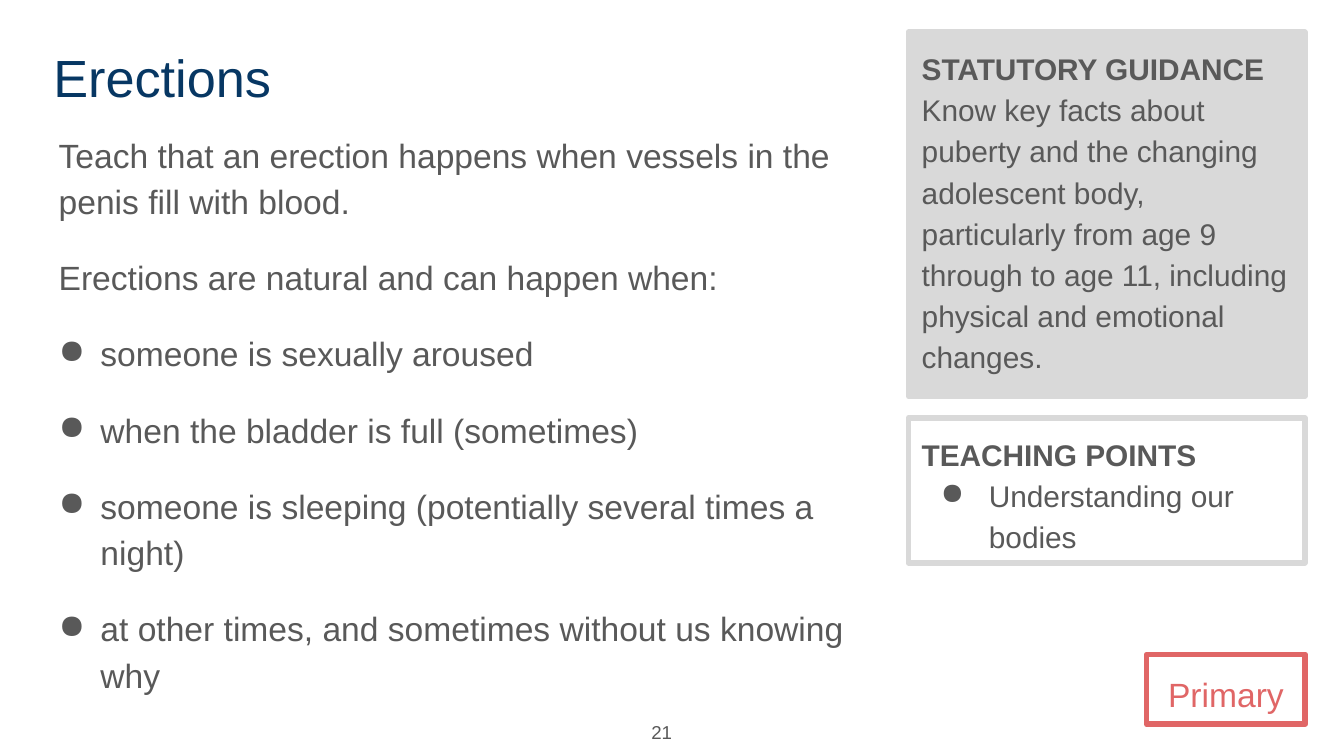
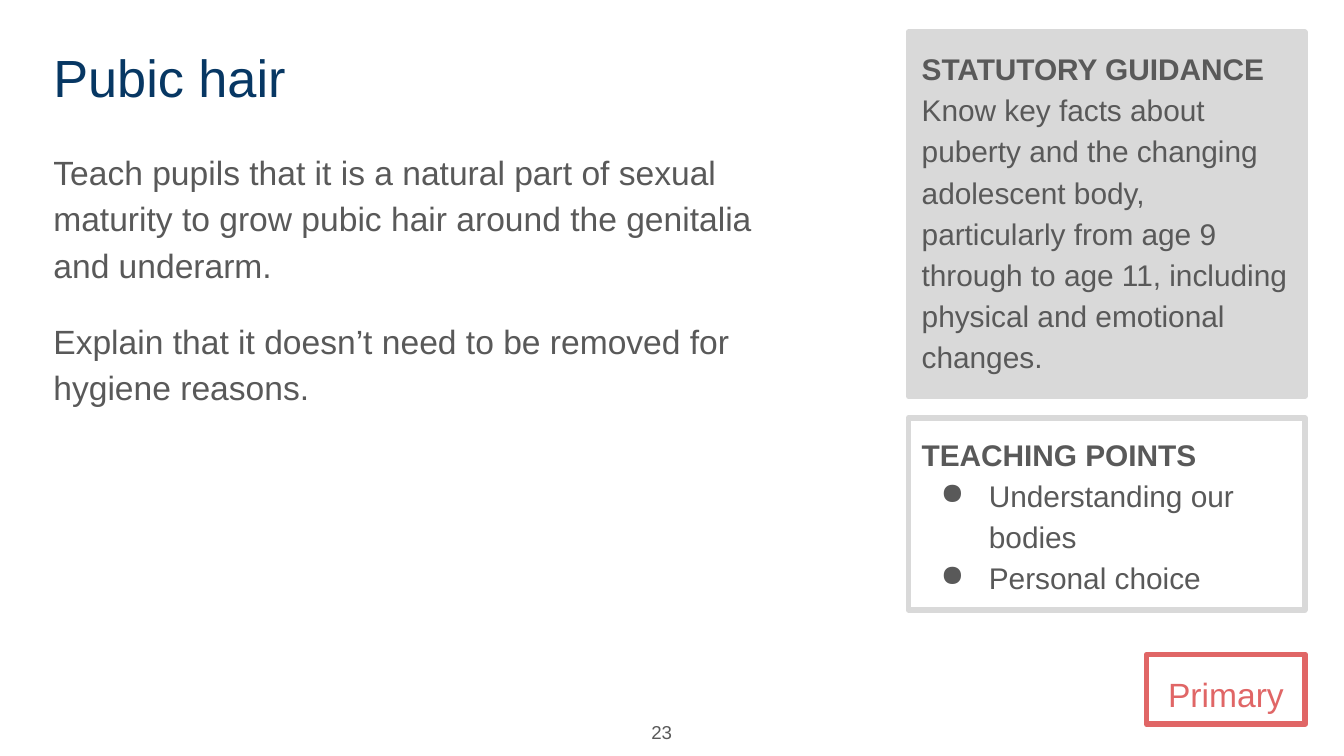
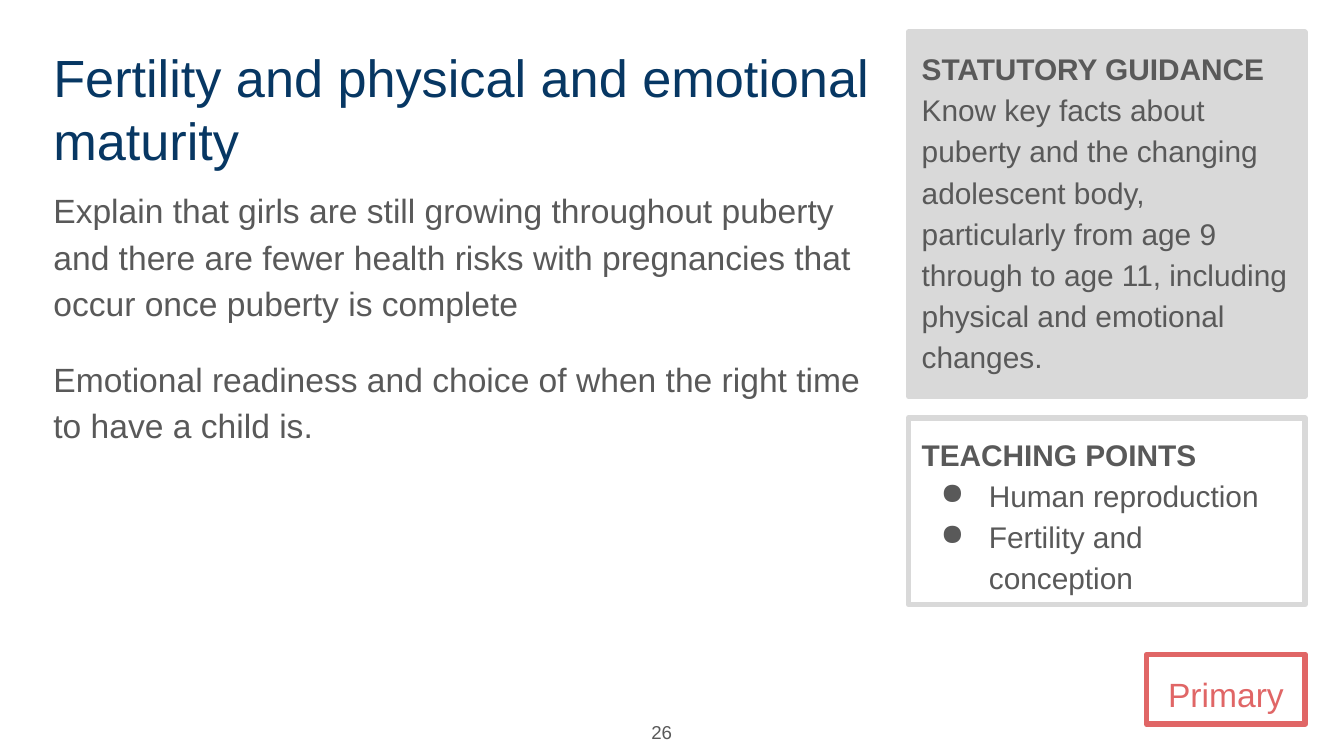
import lxml.etree
import pptx
import pptx.dml.color
import pptx.enum.shapes
import pptx.enum.text
import pptx.oxml.ns
import pptx.util

Cm = pptx.util.Cm
Pt = pptx.util.Pt
RGBColor = pptx.dml.color.RGBColor
ALIGN = pptx.enum.text.PP_ALIGN
ANCHOR = pptx.enum.text.MSO_ANCHOR
qn = pptx.oxml.ns.qn

# Shared colours and formats
NAVY = RGBColor(0x07, 0x37, 0x63)
TEXT_GREY = RGBColor(0x59, 0x59, 0x59)
PANEL_GREY = RGBColor(0xD9, 0xD9, 0xD9)
CORAL = RGBColor(0xE0, 0x66, 0x66)

TITLE = {"size": Pt(28), "color": NAVY}
BODY = {"size": Pt(18), "color": TEXT_GREY}
PANEL = {"size": Pt(16), "color": TEXT_GREY, "bold": False}
PANEL_HEADING = {**PANEL, "bold": True}
STAGE = {"size": Pt(18), "color": CORAL}
NUMBER = {"size": Pt(10), "color": TEXT_GREY}

INSET = Cm(0.25)
LINE_SPACING = 1.15
BODY_GAP = Pt(16)
BODY_INDENT = Cm(0.79), Cm(0.79)
PANEL_INDENT = Cm(1.27), Cm(0.91)

# Side column
MARGIN_TOP = 0.61
PANEL_LEFT, PANEL_WIDTH = 17.17, 7.49

GUIDANCE = (
    "Know key facts about puberty and the changing adolescent body, "
    "particularly from age 9 through to age 11, including physical and "
    "emotional changes."
)

# Content: body and panel boxes are in centimetres
SLIDES = [
    {
        "title": "Erections",
        "title_height": 1.6,
        "body_box": (0.86, 2.18, 16.05, 9.12),
        "body": [
            "Teach that an erection happens when vessels in the penis fill with blood.",
            "Erections are natural and can happen when:",
        ],
        "bullets": [
            "someone is sexually aroused",
            "when the bladder is full (sometimes)",
            "someone is sleeping (potentially several times a night)",
            "at other times, and sometimes without us knowing why",
        ],
        "points": ["Understanding our bodies"],
        "points_height": 2.74,
        "number": "21",
    },
    {
        "title": "Pubic hair",
        "title_height": 1.6,
        "body_box": (0.76, 2.51, 14.33, 10.46),
        "body": [
            "Teach pupils that it is a natural part of sexual maturity to grow "
            "pubic hair around the genitalia and underarm.",
            "Explain that it doesn’t need to be removed for hygiene reasons.",
        ],
        "bullets": [],
        "points": ["Understanding our bodies", "Personal choice"],
        "points_height": 3.63,
        "number": "23",
    },
    {
        "title": "Fertility and physical and emotional maturity",
        "title_height": 2.95,
        "body_box": (0.76, 3.23, 16.28, 9.14),
        "body": [
            "Explain that girls are still growing throughout puberty and there are "
            "fewer health risks with pregnancies that occur once puberty is complete",
            "Emotional readiness and choice of when the right time to have a child is.",
        ],
        "bullets": [],
        "points": ["Human reproduction", "Fertility and conception"],
        "points_height": 3.53,
        "number": "26",
    },
]


def apply_format(target, values):
    for name, value in values.items():
        setattr(target, name, value)


def prepare_frame(shape, anchor=ANCHOR.TOP):
    frame = shape.text_frame
    apply_format(frame, {
        "word_wrap": True,
        "vertical_anchor": anchor,
        "margin_left": INSET,
        "margin_right": INSET,
        "margin_top": INSET,
        "margin_bottom": INSET,
    })
    return frame


def add_text_box(slide, box, anchor=ANCHOR.TOP):
    shape = slide.shapes.add_textbox(*map(Cm, box))
    return prepare_frame(shape, anchor)


def add_frame(slide, box, line_color, fill_color=None):
    """Rectangle with a thick, round-cornered outline."""
    shape = slide.shapes.add_shape(
        pptx.enum.shapes.MSO_SHAPE.RECTANGLE, *map(Cm, box))
    shape.shadow.inherit = False
    if fill_color is None:
        shape.fill.background()
    else:
        shape.fill.solid()
        shape.fill.fore_color.rgb = fill_color
    shape.line.color.rgb = line_color
    shape.line.width = Pt(3)
    outline = shape.line._get_or_add_ln()
    lxml.etree.SubElement(outline, qn("a:round"))
    return prepare_frame(shape)


def add_run(paragraph, text, style):
    run = paragraph.add_run()
    run.text = text
    run.font.name = "Arial"
    values = dict(style)
    run.font.color.rgb = values.pop("color")
    apply_format(run.font, values)


def add_paragraph(frame, text, style, gap=None, spacing=LINE_SPACING,
                  align=ALIGN.LEFT, indent=None):
    paragraph = frame.paragraphs[0]
    if paragraph.runs:
        paragraph = frame.add_paragraph()
        paragraph.space_before = gap
    apply_format(paragraph, {"alignment": align, "line_spacing": spacing})
    if indent:
        add_bullet(paragraph, indent, style["color"])
    add_run(paragraph, text, style)
    return paragraph


def add_bullet(paragraph, indent, color):
    left, hanging = indent
    properties = paragraph._p.get_or_add_pPr()
    properties.set("marL", str(left))
    properties.set("indent", str(-hanging))
    bullet_color = lxml.etree.SubElement(properties, qn("a:buClr"))
    lxml.etree.SubElement(bullet_color, qn("a:srgbClr"), val=str(color))
    lxml.etree.SubElement(properties, qn("a:buChar"), char="●")


def add_sized_break(paragraph, style):
    paragraph.add_line_break()
    size = str(int(style["size"].pt * 100))
    lxml.etree.SubElement(paragraph._p[-1], qn("a:rPr"), sz=size)


def add_title(slide, text, height):
    frame = add_text_box(slide, (0.76, MARGIN_TOP, 16.28, height))
    add_paragraph(frame, text, TITLE, spacing=None)


def add_body(slide, box, texts, bullets):
    frame = add_text_box(slide, box)
    for text in texts:
        add_paragraph(frame, text, BODY, BODY_GAP)
    for text in bullets:
        add_paragraph(frame, text, BODY, BODY_GAP, indent=BODY_INDENT)


def add_guidance(slide):
    box = (PANEL_LEFT, MARGIN_TOP, PANEL_WIDTH, 6.88)
    frame = add_frame(slide, box, PANEL_GREY, PANEL_GREY)
    paragraph = add_paragraph(frame, "STATUTORY GUIDANCE", PANEL_HEADING)
    add_sized_break(paragraph, PANEL)
    add_run(paragraph, GUIDANCE, PANEL)


def add_teaching_points(slide, points, height):
    frame = add_frame(slide, (PANEL_LEFT, 7.9, PANEL_WIDTH, height), PANEL_GREY)
    add_paragraph(frame, "TEACHING POINTS", PANEL_HEADING)
    for point in points:
        add_paragraph(frame, point, PANEL, indent=PANEL_INDENT)


def add_page_number(slide, number):
    frame = add_text_box(slide, (11.96, 13.36, 0.99, 0.94), ANCHOR.MIDDLE)
    add_paragraph(frame, number, NUMBER, spacing=None, align=ALIGN.RIGHT)


def add_stage_label(slide):
    frame = add_frame(slide, (21.67, 12.37, 3, 1.32), CORAL)
    add_paragraph(frame, "Primary", STAGE, align=ALIGN.CENTER)


def main():
    presentation = pptx.Presentation()
    presentation.slide_width = Cm(25.4)
    presentation.slide_height = Cm(14.29)
    blank = presentation.slide_layouts[6]
    for content in SLIDES:
        slide = presentation.slides.add_slide(blank)
        add_title(slide, content["title"], content["title_height"])
        add_body(slide, content["body_box"], content["body"], content["bullets"])
        add_guidance(slide)
        add_page_number(slide, content["number"])
        add_stage_label(slide)
        add_teaching_points(slide, content["points"], content["points_height"])
    presentation.save("out.pptx")


if __name__ == "__main__":
    main()
